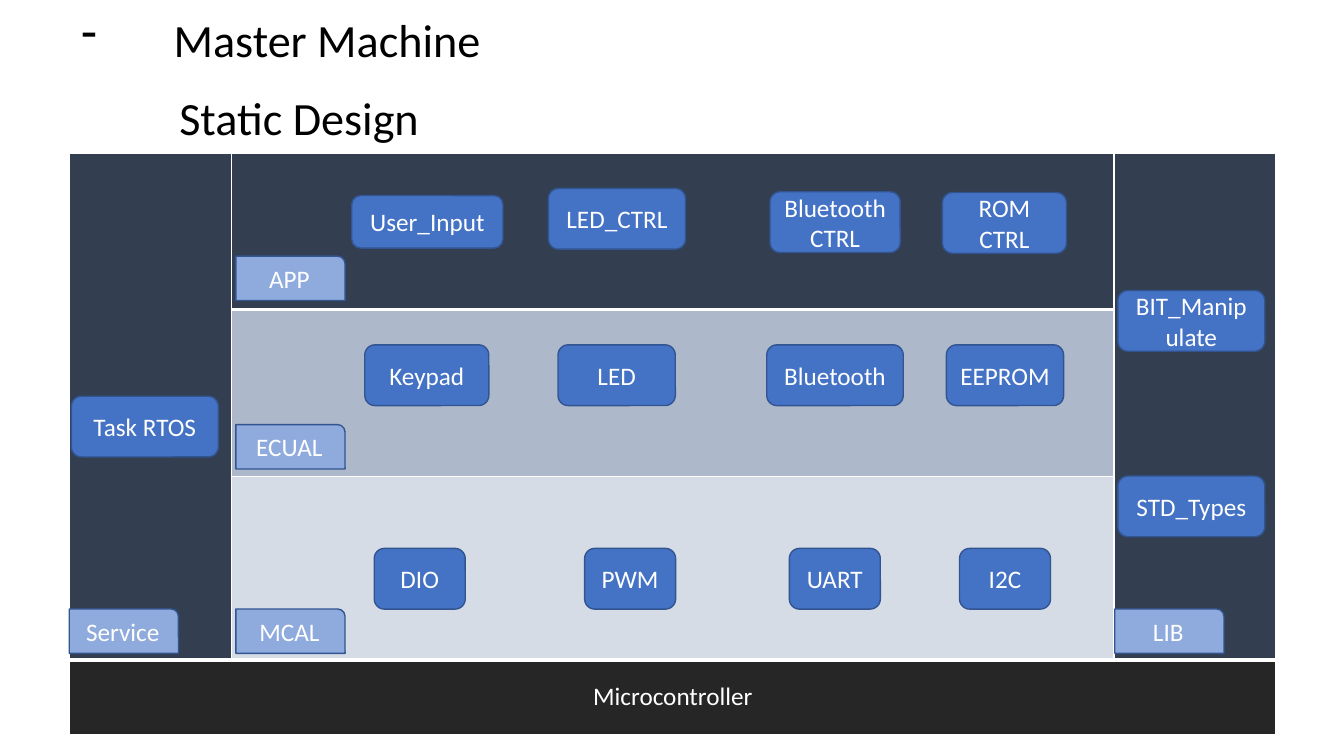
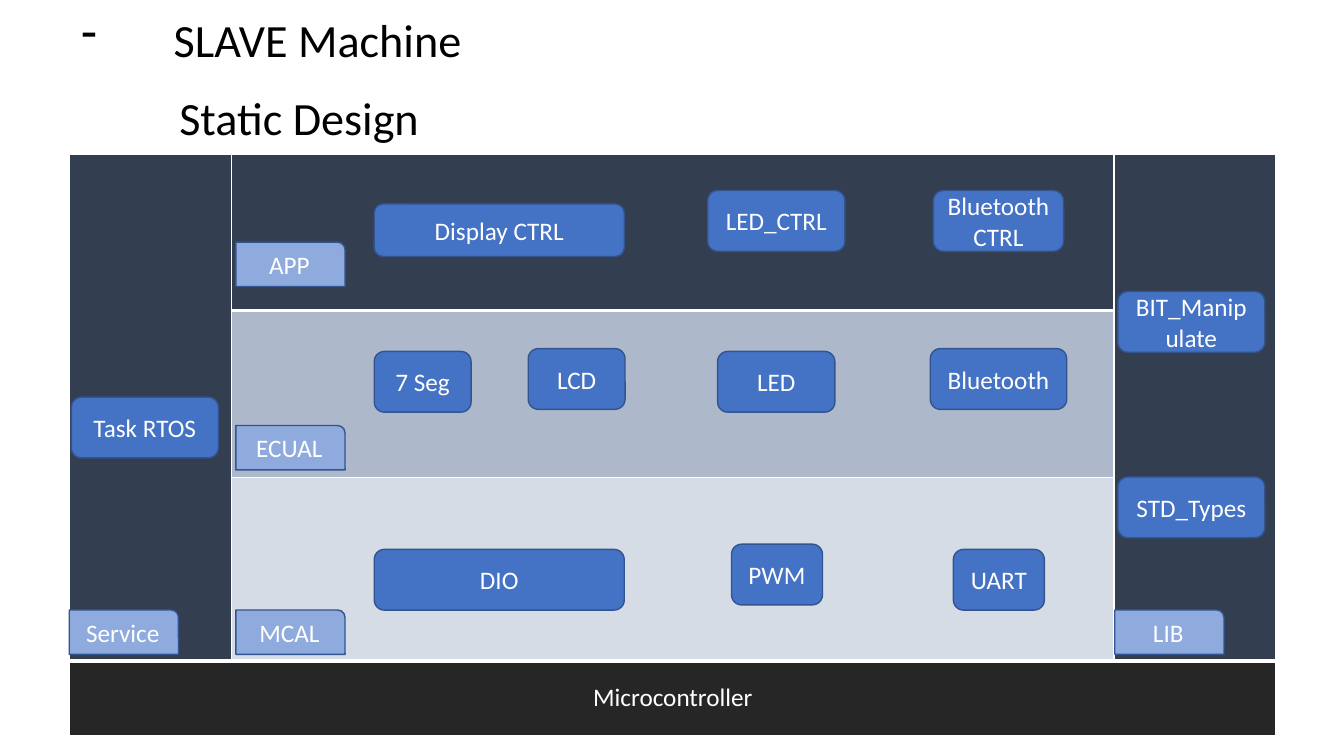
from lxml.etree import SubElement
from pptx import Presentation
from pptx.dml.color import RGBColor
from pptx.enum.shapes import MSO_SHAPE as Shape
from pptx.enum.text import MSO_ANCHOR as Anchor, PP_ALIGN as Align
from pptx.oxml.ns import qn
from pptx.util import Pt

COLOURS = {
    "dark": "333F50", "middle": "ADB9CA", "light": "D6DCE5", "black": "262626",
    "module": "4472C4", "tag": "8FAADC", "outline": "325491",
    "white": "FFFFFF", "title": "000000",
}
FONT = "Calibri"
COLUMNS = (115.2, 630.7, 115.6)
ROWS = (111.6, 119.5, 131, 53.3)
LAYER_FILLS = ("dark", "middle", "light")
TAG_SIZE = (78, 31.7)
MODULE_HEIGHT = 43.4


def colour(name):
    """Return the named colour."""
    return RGBColor.from_string(COLOURS[name])


class Deck:
    """Holds the style and the current slide."""

    def __init__(self):
        """Start a widescreen presentation."""
        self.presentation = Presentation()
        self.presentation.slide_width = Pt(960)
        self.presentation.slide_height = Pt(540)
        self.slide = None
        self.drop = 0

    def add_slide(self, drop):
        """Start a blank slide whose diagram sits lower by drop."""
        layout = self.presentation.slide_layouts[6]
        self.slide = self.presentation.slides.add_slide(layout)
        self.drop = drop

    def style(self, paragraph, size, colour_name):
        """Format the runs of a paragraph."""
        for run in paragraph.runs:
            run.font.name = FONT
            run.font.size = Pt(size)
            run.font.color.rgb = colour(colour_name)

    def title(self, heading, subheading):
        """Add the dashed heading and the line below it."""
        box = self.slide.shapes.add_textbox(Pt(51), Pt(-1.5), Pt(828), Pt(104.5))
        frame = box.text_frame
        frame.word_wrap = True
        frame.vertical_anchor = Anchor.BOTTOM
        frame.margin_bottom = Pt(1)
        frame.text = f"{heading}\n{subheading}"
        first, second = frame.paragraphs
        second.space_before = Pt(28)
        for paragraph, margin, indent in ((first, 66, -66), (second, 70, 0)):
            paragraph.line_spacing = 0.7
            self.style(paragraph, 33, "title")
            properties = paragraph._p.get_or_add_pPr()
            properties.set("marL", str(Pt(margin)))
            properties.set("indent", str(Pt(indent)))
        SubElement(first._p.get_or_add_pPr(), qn("a:buChar"), char="-")

    def cell(self, cell, fill, bottom=1):
        """Fill a table cell and give it white borders."""
        properties = cell._tc.get_or_add_tcPr()
        for side, width in (("L", 1), ("R", 1), ("T", 1), ("B", bottom)):
            line = SubElement(properties, qn(f"a:ln{side}"), w=str(Pt(width)))
            solid = SubElement(line, qn("a:solidFill"))
            SubElement(solid, qn("a:srgbClr"), val=COLOURS["white"])
        cell.fill.solid()
        cell.fill.fore_color.rgb = colour(fill)

    def layers(self, base):
        """Add the table of layers, side columns and base row."""
        table = self.slide.shapes.add_table(
            len(ROWS), len(COLUMNS), Pt(49.9), Pt(109.4 + self.drop),
            Pt(sum(COLUMNS)), Pt(sum(ROWS))).table
        table.first_row = table.horz_banding = False
        for column, width in zip(table.columns, COLUMNS):
            column.width = Pt(width)
        for row, height in zip(table.rows, ROWS):
            row.height = Pt(height)
        for index, fill in enumerate(LAYER_FILLS):
            self.cell(table.cell(index, 0), "dark", 3)
            self.cell(table.cell(index, 1), fill, 3 if index == 0 else 1)
            self.cell(table.cell(index, 2), "dark", 3)
        for index in range(len(COLUMNS)):
            self.cell(table.cell(3, index), "black")
        for index in (0, 2):
            table.cell(0, index).merge(table.cell(2, index))
        base_cell = table.cell(3, 0)
        base_cell.merge(table.cell(3, 2))
        base_cell.text = base
        base_cell.vertical_anchor = Anchor.MIDDLE
        paragraph = base_cell.text_frame.paragraphs[0]
        paragraph.alignment = Align.CENTER
        self.style(paragraph, 18, "white")

    def block(self, kind, fill, text, left, top, width, height):
        """Add an outlined shape with centred white text."""
        shape = self.slide.shapes.add_shape(
            kind, Pt(left), Pt(top + self.drop), Pt(width), Pt(height))
        shape.shadow.inherit = False
        shape.fill.solid()
        shape.fill.fore_color.rgb = colour(fill)
        shape.line.color.rgb = colour("outline")
        shape.line.width = Pt(1)
        frame = shape.text_frame
        frame.word_wrap = True
        frame.vertical_anchor = Anchor.MIDDLE
        frame.text = text
        paragraph = frame.paragraphs[0]
        paragraph.alignment = Align.CENTER
        self.style(paragraph, 18, "white")

    def tag(self, text, left, top):
        """Add a layer name."""
        self.block(Shape.ROUND_1_RECTANGLE, "tag", text, left, top, *TAG_SIZE)

    def module(self, text, left, top, width, height=MODULE_HEIGHT):
        """Add a software module."""
        self.block(Shape.ROUNDED_RECTANGLE, "module", text, left, top, width, height)


SHARED_TAGS = (
    ("MCAL", 168.5, 435), ("ECUAL", 168.5, 303.3),
    ("Service", 49.5, 435), ("LIB", 796.3, 435),
)
SHARED_MODULES = (
    ("STD_Types", 798.5, 340, 105), ("BIT_Manipulate", 798.5, 207.5, 105),
    ("Task RTOS", 51, 283, 105),
)
MACHINES = (
    {
        "name": "Master Machine", "drop": 0, "app_top": 183,
        "modules": (
            ("User_Input", 251.3, 139.7, 108, 37.5), ("LED_CTRL", 391.7, 134.6, 98),
            ("Bluetooth CTRL", 550, 137, 93), ("ROM CTRL", 673.2, 137.5, 88.6),
            ("Keypad", 260.6, 246.3, 88.6), ("LED", 398.6, 246.3, 83.8),
            ("Bluetooth", 547.7, 246.3, 97.5), ("EEPROM", 676, 246.3, 83.8),
            ("DIO", 267.3, 391.7, 65), ("PWM", 417.6, 391.7, 65),
            ("UART", 563.8, 391.7, 65), ("I2C", 685.4, 391.7, 65),
        ),
    },
    {
        "name": "SLAVE Machine", "drop": 0.7, "app_top": 172.3,
        "modules": (
            ("Display CTRL", 267.3, 145, 178.6, 37.5), ("LED_CTRL", 505.5, 135.4, 98),
            ("Bluetooth CTRL", 666.7, 135.4, 93),
            ("7 Seg", 267.3, 250.3, 69.2), ("LCD", 377.3, 248.3, 69.2),
            ("LED", 512.6, 250.3, 83.8), ("Bluetooth", 664.5, 248.3, 97.5),
            ("DIO", 267.3, 391.7, 178.6), ("PWM", 522.5, 388, 65),
            ("UART", 681, 391.7, 65),
        ),
    },
)


def main():
    """Build one slide per machine and save the file."""
    deck = Deck()
    for machine in MACHINES:
        deck.add_slide(machine["drop"])
        deck.layers("Microcontroller")
        for tag in SHARED_TAGS + (("APP", 168.5, machine["app_top"]),):
            deck.tag(*tag)
        for module in SHARED_MODULES + machine["modules"]:
            deck.module(*module)
        deck.title(machine["name"], "Static Design")
    deck.presentation.save("out.pptx")


main()
